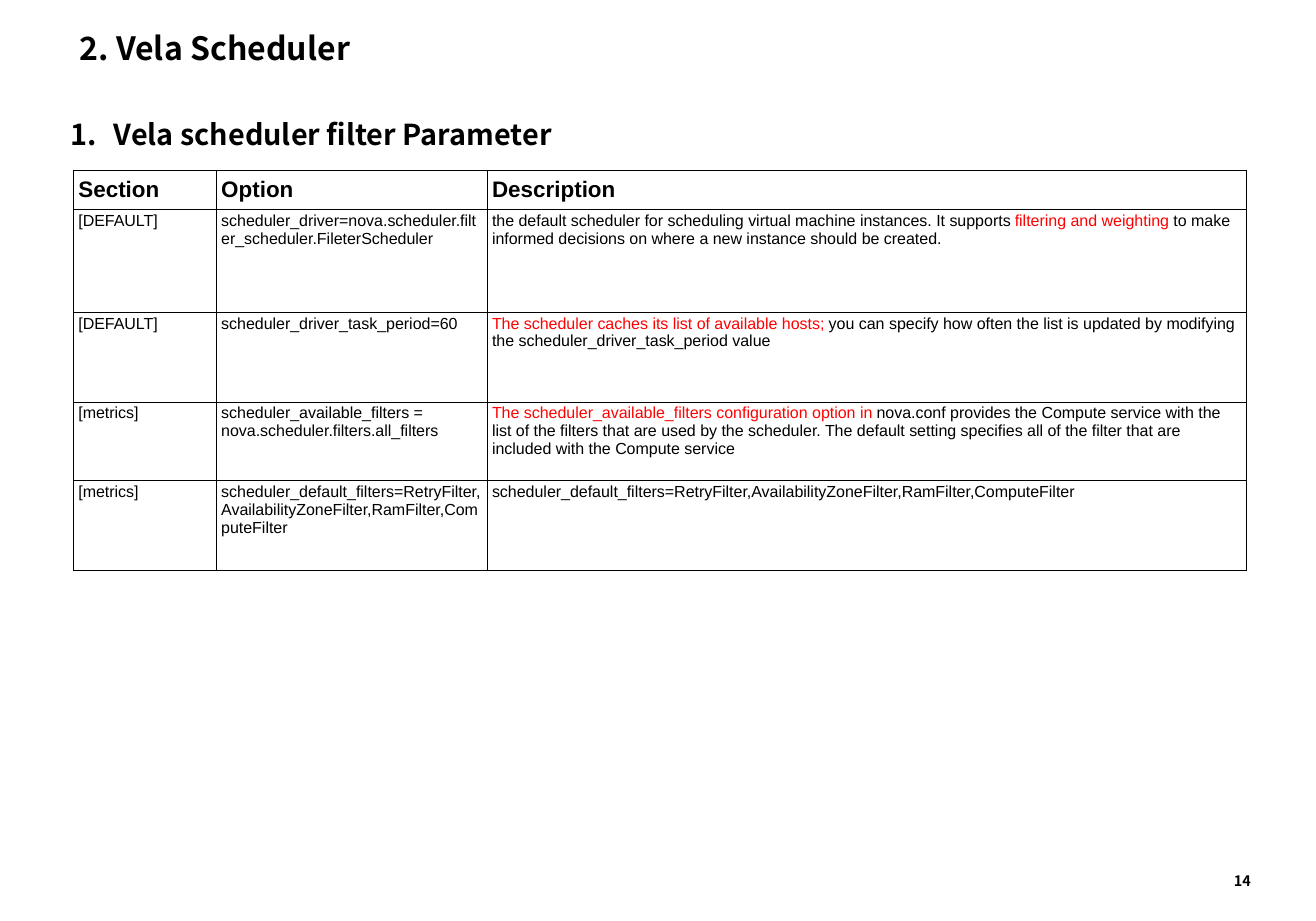
from dataclasses import dataclass

from lxml.etree import SubElement
from pptx import Presentation
from pptx.dml.color import RGBColor
from pptx.enum.text import MSO_ANCHOR, MSO_AUTO_SIZE, PP_ALIGN
from pptx.oxml.ns import qn
from pptx.util import Inches, Pt

TITLE = "2. Vela Scheduler"
HEADING = "Vela scheduler filter Parameter"
PAGE_NUMBER = "14"
HEADER = ("Section", "Option", "Description")
DEFAULT_FILTERS = "scheduler_default_filters=RetryFilter,AvailabilityZoneFilter,RamFilter,ComputeFilter"
PARAMETERS = [
    (
        "[DEFAULT]",
        "scheduler_driver=nova.scheduler.filter_scheduler.FileterScheduler",
        [
            ("the default scheduler for scheduling virtual machine instances. It supports ", "text"),
            ("filtering and weighting", "accent"),
            (" to make informed decisions on where a new instance should be created.", "text"),
        ],
    ),
    (
        "[DEFAULT]",
        "scheduler_driver_task_period=60",
        [
            ("The scheduler caches its list of available hosts;", "accent"),
            (" you can specify how often the list is updated by modifying the "
             "scheduler_driver_task_period value", "text"),
        ],
    ),
    (
        "[metrics]",
        "scheduler_available_filters = nova.scheduler.filters.all_filters",
        [
            ("The scheduler_available_filters configuration option in ", "accent"),
            ("nova.conf provides the Compute service with the list of the filters that are used "
             "by the scheduler. The default setting specifies all of the filter that are "
             "included with the Compute service", "text"),
        ],
    ),
    ("[metrics]", DEFAULT_FILTERS, DEFAULT_FILTERS),
]
COLUMN_WIDTHS = (1.24, 2.35, 6.59)
ROW_HEIGHTS = (0.34, 0.89, 0.78, 0.68, 0.78)


@dataclass(frozen=True)
class Theme:
    """Colours, fonts and type sizes of the slide."""

    text: str = "000000"
    accent: str = "FF0000"
    display_font: str = "Noto Sans CJK KR"
    table_font: str = "Arial"
    title_size: int = 20
    heading_size: int = 18
    header_size: int = 14
    body_size: int = 10
    page_size: int = 9
    border: int = 1


THEME = Theme()


def apply(target, formats):
    """Set every attribute in formats on target."""
    for attribute, value in formats.items():
        setattr(target, attribute, value)


def write(frame, content, font, size, bold):
    """Fill a text frame with left-aligned runs and return its paragraph."""
    paragraph = frame.paragraphs[0]
    paragraph.alignment = PP_ALIGN.LEFT
    pieces = [(content, "text")] if isinstance(content, str) else content
    for words, role in pieces:
        run = paragraph.add_run()
        run.text = words
        apply(run.font, {"name": font, "size": Pt(size), "bold": bold})
        run.font.color.rgb = RGBColor.from_string(getattr(THEME, role))
    return paragraph


def place(shape, left, top, width, height):
    """Position a shape by lengths in inches."""
    apply(shape, {
        "left": Inches(left), "top": Inches(top),
        "width": Inches(width), "height": Inches(height),
    })


def add_label(slide, box, content, size):
    """Add a bold text box and return its paragraph."""
    label = slide.shapes.add_textbox(*map(Inches, box))
    label.text_frame.word_wrap = True
    return write(label.text_frame, content, THEME.display_font, size, True)


def number(paragraph, indent):
    """Give a paragraph an automatic number with a hanging indent."""
    properties = paragraph._p.get_or_add_pPr()
    properties.set("marL", str(Inches(indent)))
    properties.set("indent", str(-Inches(indent)))
    SubElement(properties, qn("a:buAutoNum"), type="arabicPeriod")


def outline(cell):
    """Draw all four borders of a cell."""
    properties = cell._tc.get_or_add_tcPr()
    for position, side in enumerate(("lnL", "lnR", "lnT", "lnB")):
        line = properties.makeelement(qn(f"a:{side}"), {"w": str(Pt(THEME.border))})
        fill = SubElement(line, qn("a:solidFill"))
        SubElement(fill, qn("a:srgbClr"), val=THEME.text)
        properties.insert(position, line)


def add_parameters(slide):
    """Add the table of scheduler parameters."""
    rows = [HEADER, *PARAMETERS]
    table = slide.shapes.add_table(
        len(rows), len(HEADER), Inches(0.64), Inches(1.48),
        Inches(sum(COLUMN_WIDTHS)), Inches(sum(ROW_HEIGHTS)),
    ).table
    apply(table, {"first_row": False, "horz_banding": False})
    for column, width in zip(table.columns, COLUMN_WIDTHS):
        column.width = Inches(width)
    for index, (row, height, contents) in enumerate(zip(table.rows, ROW_HEIGHTS, rows)):
        row.height = Inches(height)
        heads = index == 0
        for cell, content in zip(row.cells, contents):
            apply(cell, {
                "margin_left": Inches(0.04), "margin_right": Inches(0.04),
                "margin_top": Inches(0.02), "margin_bottom": Inches(0.02),
                "vertical_anchor": MSO_ANCHOR.MIDDLE if heads else MSO_ANCHOR.TOP,
            })
            cell.fill.background()
            outline(cell)
            size = THEME.header_size if heads else THEME.body_size
            write(cell.text_frame, content, THEME.table_font, size, heads)


def main():
    """Build and save the slide."""
    deck = Presentation()
    apply(deck, {"slide_width": Inches(11.42), "slide_height": Inches(7.99)})
    slide = deck.slides.add_slide(deck.slide_layouts[5])

    title = slide.shapes.title
    place(title, 0.59, 0.22, 10.23, 0.39)
    apply(title.text_frame, {
        "auto_size": MSO_AUTO_SIZE.NONE, "vertical_anchor": MSO_ANCHOR.MIDDLE, "word_wrap": True,
    })
    write(title.text_frame, TITLE, THEME.display_font, THEME.title_size, True)

    heading = add_label(slide, (0.51, 0.87, 10.71, 0.49), HEADING, THEME.heading_size)
    heading.line_spacing = 1.3
    number(heading, 0.38)
    add_parameters(slide)
    add_label(slide, (10.61, 7.52, 0.84, 0.25), PAGE_NUMBER, THEME.page_size)
    deck.save("out.pptx")


if __name__ == "__main__":
    main()
